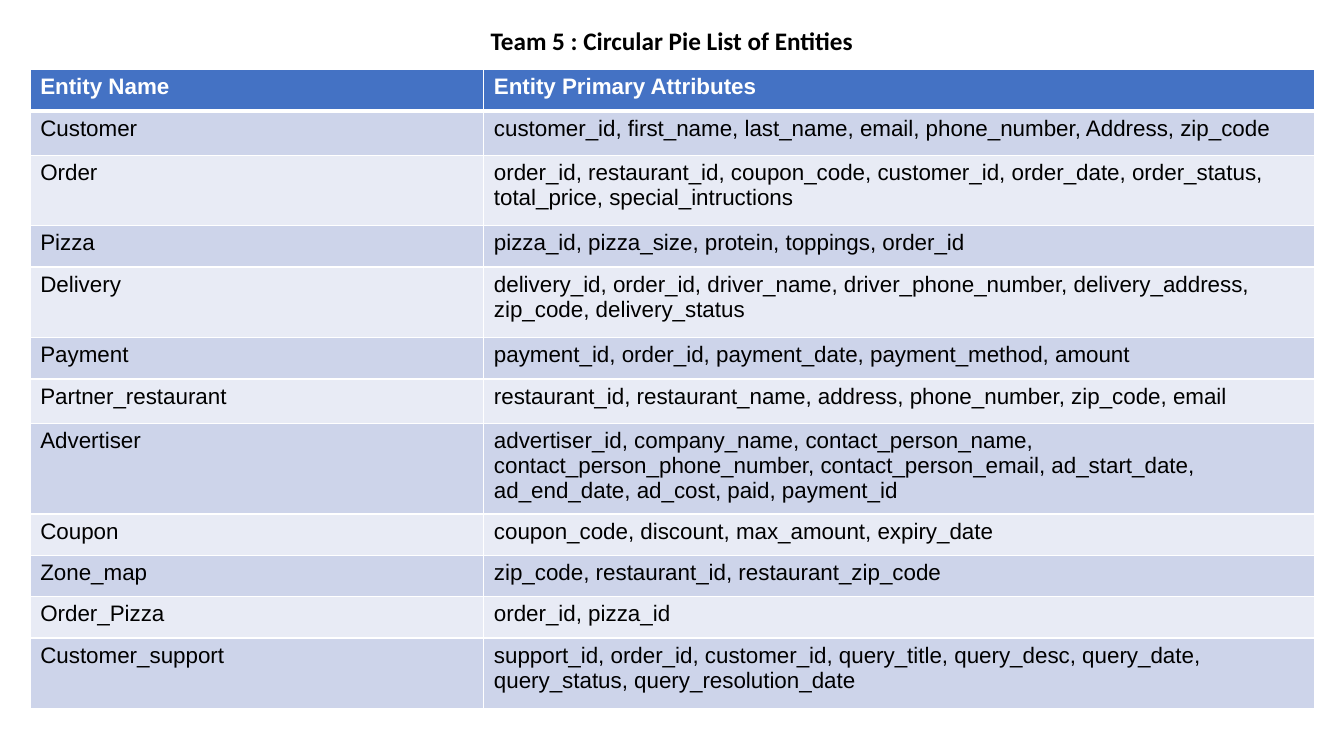
import pptx
import pptx.dml.color
import pptx.enum.text
import pptx.oxml
import pptx.oxml.ns
import pptx.util

HEADER = ("Entity Name", "Entity Primary Attributes")

# Row height in grid rows, entity, attributes
ENTITIES = [
    (4.4, "Customer", "customer_id, first_name, last_name, email, phone_number, Address, zip_code"),
    (7, "Order", "order_id, restaurant_id, coupon_code, customer_id, order_date, order_status, "
                 "total_price, special_intructions"),
    (4.1, "Pizza", "pizza_id, pizza_size, protein, toppings, order_id"),
    (7, "Delivery", "delivery_id, order_id, driver_name, driver_phone_number, delivery_address, "
                    "zip_code, delivery_status"),
    (4.1, "Payment", "payment_id, order_id, payment_date, payment_method, amount"),
    (4.4, "Partner_restaurant", "restaurant_id, restaurant_name, address, phone_number, zip_code, email"),
    (7, "Advertiser", "advertiser_id, company_name, contact_person_name, contact_person_phone_number, "
                      "contact_person_email, ad_start_date, ad_end_date, ad_cost, paid, payment_id"),
    (4.1, "Coupon", "coupon_code, discount, max_amount, expiry_date"),
    (4.1, "Zone_map", "zip_code, restaurant_id, restaurant_zip_code"),
    (4.1, "Order_Pizza", "order_id, pizza_id"),
    (7, "Customer_support", "support_id, order_id, customer_id, query_title, query_desc, query_date, "
                            "query_status, query_resolution_date"),
]


def colour(code):
    return pptx.dml.color.RGBColor.from_string(code)


class EntitySlide:
    BLACK, WHITE = "000000", "FFFFFF"
    BLUE = "4472C4"
    BANDS = ("CDD4EA", "E8EBF5")
    TITLE_FONT, TABLE_FONT = "Calibri", "Arial"
    COLUMNS, ROWS = 133.33, 75

    def __init__(self, deck):
        self.width, self.height = deck.slide_width, deck.slide_height
        self.page = deck.slides.add_slide(deck.slide_layouts[6])

    def across(self, columns):
        return round(self.width * columns / self.COLUMNS)

    def down(self, rows):
        return round(self.height * rows / self.ROWS)

    def place(self, left, top, width, height):
        return self.across(left), self.down(top), self.across(width), self.down(height)

    def add_span(self, para, text, font, size, ink, bold):
        span = para.add_run()
        span.text = text
        span.font.name = font
        span.font.size = pptx.util.Pt(size)
        span.font.bold = bold
        span.font.color.rgb = colour(ink)

    def title(self, text, *area):
        box = self.page.shapes.add_textbox(*self.place(*area))
        box.text_frame.word_wrap = True
        para = box.text_frame.paragraphs[0]
        para.alignment = pptx.enum.text.PP_ALIGN.CENTER
        self.add_span(para, text, self.TITLE_FONT, 18, self.BLACK, True)

    def borders(self, cell, top, bottom):
        properties = cell._tc.get_or_add_tcPr()
        sides = {"lnL": 1, "lnR": 1, "lnT": top, "lnB": bottom}
        for position, (side, points) in enumerate(sides.items()):
            properties.insert(position, pptx.oxml.parse_xml(
                f'<a:{side} {pptx.oxml.ns.nsdecls("a")} w="{pptx.util.Pt(points)}">'
                f'<a:solidFill><a:srgbClr val="{self.WHITE}"/></a:solidFill></a:{side}>'))

    def table(self, left, top, widths, heights, records):
        area = self.place(left, top, sum(widths), sum(heights))
        table = self.page.shapes.add_table(len(records), len(widths), *area).table
        for column, width in zip(table.columns, widths):
            column.width = self.across(width)
        for index, (height, record) in enumerate(zip(heights, records)):
            table.rows[index].height = self.down(height)
            header = index == 0
            fill = self.BLUE if header else self.BANDS[(index - 1) % 2]
            ink = self.WHITE if header else self.BLACK
            for cell, text in zip(table.rows[index].cells, record):
                cell.fill.solid()
                cell.fill.fore_color.rgb = colour(fill)
                # The thick rule is shared by the header and the first entity
                self.borders(cell, 3 if index == 1 else 1, 3 if header else 1)
                self.add_span(cell.text_frame.paragraphs[0], text, self.TABLE_FONT, 16, ink, header)


def main():
    deck = pptx.Presentation()
    deck.slide_width = pptx.util.Inches(13.33)
    deck.slide_height = pptx.util.Inches(7.5)
    slide = EntitySlide(deck)

    # Heading
    slide.title("Team 5 : Circular Pie List of Entities", 46.9, 2, 39.5, 3.7)

    # Entity table
    heights = [4.1] + [height for height, *_ in ENTITIES]
    records = [HEADER] + [record for _, *record in ENTITIES]
    slide.table(3, 6.9, (45, 82.4), heights, records)

    deck.save("out.pptx")


if __name__ == "__main__":
    main()
